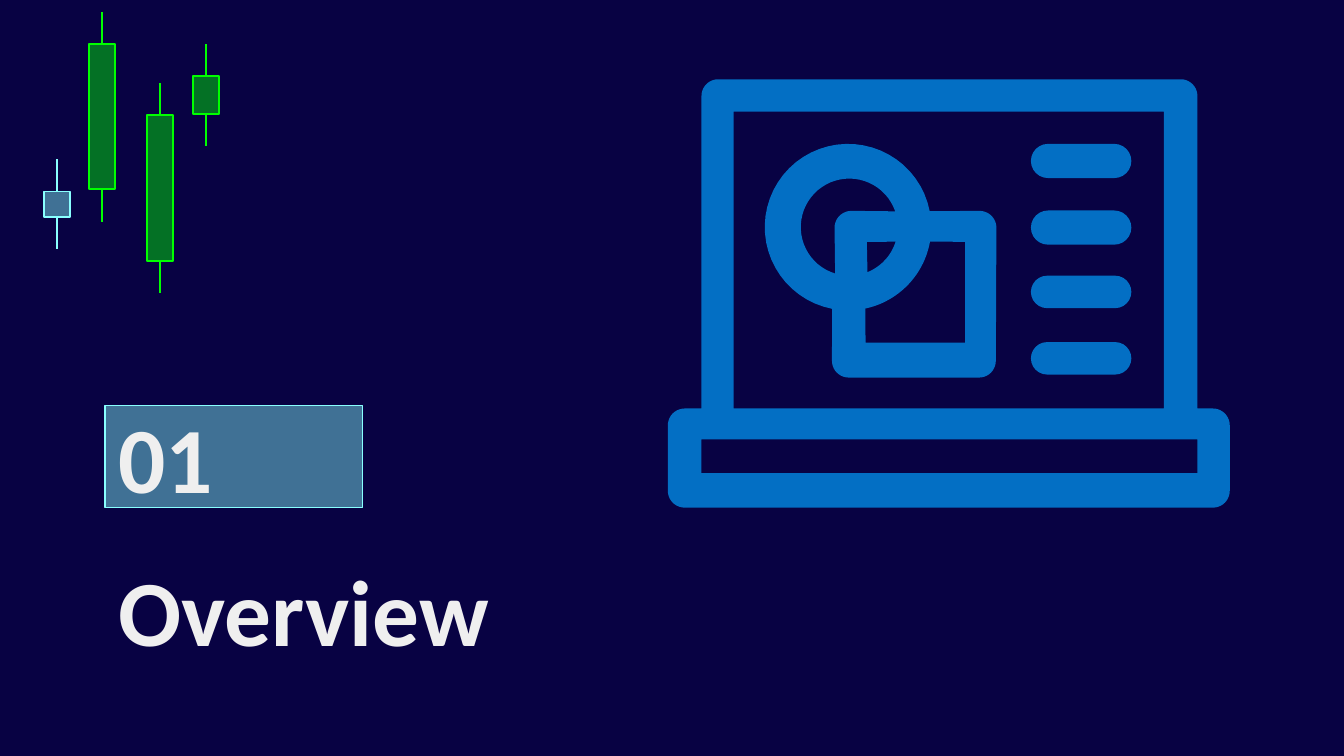
"""Build the "01 Overview" section slide with candlesticks and a laptop icon."""
from dataclasses import dataclass
from math import cos, radians, sin

from lxml import etree
from pptx import Presentation
from pptx.dml.color import RGBColor
from pptx.enum.shapes import MSO_CONNECTOR, MSO_SHAPE
from pptx.enum.text import MSO_ANCHOR, PP_ALIGN
from pptx.oxml.ns import qn
from pptx.util import Pt

RECTANGLE = MSO_SHAPE.RECTANGLE
PILL = MSO_SHAPE.ROUNDED_RECTANGLE
STRAIGHT = MSO_CONNECTOR.STRAIGHT
MIDDLE = MSO_ANCHOR.MIDDLE
LEFT = PP_ALIGN.LEFT


@dataclass(frozen=True)
class Theme:
    background: RGBColor = RGBColor.from_string("080243")
    text: RGBColor = RGBColor.from_string("EFEFEF")
    cyan: RGBColor = RGBColor.from_string("89FFFF")
    green: RGBColor = RGBColor.from_string("00FF00")
    icon: RGBColor = RGBColor.from_string("036FC4")
    font: str = "Calibri"
    heading_size: float = 50
    tint_percent: int = 44


THEME = Theme()


def set_heading(shape, wording):
    frame = shape.text_frame
    frame.text = wording
    frame.word_wrap = True
    frame.vertical_anchor = MIDDLE
    frame.margin_left = frame.margin_right = Pt(7.2)
    frame.margin_top = frame.margin_bottom = Pt(7.2)
    paragraph = frame.paragraphs[0]
    paragraph.alignment = LEFT
    font = paragraph.runs[0].font
    font.name, font.size, font.bold = THEME.font, Pt(THEME.heading_size), True
    font.color.rgb = THEME.text


def add_tinted_box(shapes, left, top, width, height, color, border):
    box = shapes.add_shape(RECTANGLE, Pt(left), Pt(top), Pt(width), Pt(height))
    box.shadow.inherit = False
    box.fill.solid()
    box.fill.fore_color.rgb = color
    tint = box.fill._xPr.find(qn("a:solidFill"))[0]
    etree.SubElement(tint, qn("a:alpha"), val=str(THEME.tint_percent * 1000))
    box.line.color.rgb = color
    box.line.width = Pt(border)
    return box


def add_wick(shapes, center, top, bottom, color):
    wick = shapes.add_connector(STRAIGHT, Pt(center), Pt(top), Pt(center), Pt(bottom))
    wick.line.color.rgb = color
    wick.line.width = Pt(1)
    etree.SubElement(wick._element.spPr, qn("a:effectLst"))


def add_candle(shapes, center, top, bottom, color):
    width, wick = 14, 17.2
    add_tinted_box(shapes, center - width / 2, top, width, bottom - top, color, 1)
    add_wick(shapes, center, top - wick, top, color)
    add_wick(shapes, center, bottom, bottom + wick, color)


def paint_icon(shape):
    shape.shadow.inherit = False
    shape.fill.solid()
    shape.fill.fore_color.rgb = THEME.icon
    shape.line.fill.background()


def arc(center, radius, start, end, steps=40):
    angles = [radians(start + (end - start) * i / steps) for i in range(steps + 1)]
    return [(center[0] + radius * cos(a), center[1] + radius * sin(a)) for a in angles]


def corner(x, y, start, radius=9):
    """Return a clockwise rounded corner at (x, y), beginning at angle start."""
    toward_x = 1 if start in (180, 90) else -1
    toward_y = 1 if start in (180, 270) else -1
    center = (x + toward_x * radius, y + toward_y * radius)
    return arc(center, radius, start, start + 90, 10)


def rectangle(left, top, right, bottom):
    return [(left, top), (right, top), (right, bottom), (left, bottom)]


def add_outline(shapes, contours):
    contours = [[(Pt(x), Pt(y)) for x, y in contour] for contour in contours]
    builder = shapes.build_freeform(*contours[0][0])
    for index, (first, *rest) in enumerate(contours):
        if index:
            builder.move_to(*first)
        builder.add_line_segments(rest, close=True)
    paint_icon(builder.convert_to_shape())


def add_ring_and_square(shapes):
    outer_center, outer_radius = (454.3, 121.7), 44.6
    inner_center, inner_radius = (455, 121.7), 26
    silhouette = [
        *arc(outer_center, outer_radius, 101, 349),
        *corner(533.8, 113, 270),
        *corner(533.5, 202.3, 0),
        *corner(445.7, 202.3, 90),
    ]
    ring_hole = [
        *arc(inner_center, inner_radius, 107, 341),
        *reversed(corner(447.1, 113, 180)),
    ]
    overlap_hole = [
        *arc(inner_center, inner_radius, 17.5, 68),
        (464.4, 129.6),
    ]
    square_hole = [
        *arc(outer_center, outer_radius, 78, 10),
        (517, 129.6), (517, 183.6), (463.7, 183.6),
    ]
    add_outline(shapes, [silhouette, ring_hole, overlap_hole, square_hole])


def add_laptop(shapes):
    lid_left, lid_right, base_top = 375.8, 641.5, 218.9
    base_left, base_right, base_bottom = 357.8, 658.8, 272
    silhouette = [
        *corner(lid_left, 42.5, 180),
        *corner(lid_right, 42.5, 270),
        (lid_right, base_top),
        *corner(base_right, base_top, 270),
        *corner(base_right, base_bottom, 0),
        *corner(base_left, base_bottom, 90),
        *corner(base_left, base_top, 180),
        (lid_left, base_top),
    ]
    screen = rectangle(393.1, 59.8, 623.5, base_top)
    keyboard = rectangle(lid_left, 235.4, lid_right, 253.6)
    add_outline(shapes, [silhouette, screen, keyboard])


def add_list_bar(shapes, top, height):
    bar = shapes.add_shape(PILL, Pt(552.3), Pt(top), Pt(53.8), Pt(height))
    bar.adjustments[0] = 0.5
    paint_icon(bar)


def main():
    deck = Presentation()
    deck.slide_width, deck.slide_height = Pt(720), Pt(405)
    slide = deck.slides.add_slide(deck.slide_layouts[6])
    slide.background.fill.solid()
    slide.background.fill.fore_color.rgb = THEME.background

    title = slide.shapes.add_textbox(Pt(56.2), Pt(290.2), Pt(607.7), Pt(72.7))
    set_heading(title, "Overview")
    number = add_tinted_box(slide.shapes, 56.2, 217.4, 138, 54.4, THEME.cyan, 0.75)
    set_heading(number, "01")

    candles = slide.shapes.add_group_shape().shapes
    for center, top, bottom, color in (
        (30.4, 102.6, 116.1, THEME.cyan),
        (54.6, 23.7, 101.5, THEME.green),
        (85.8, 61.7, 139.7, THEME.green),
        (110.2, 40.9, 61.2, THEME.green),
    ):
        add_candle(candles, center, top, bottom, color)

    icon = slide.shapes.add_group_shape().shapes
    add_ring_and_square(icon)
    for top, height in ((77.1, 18.3), (112.8, 18.3), (147.7, 17.4), (183.3, 17.4)):
        add_list_bar(icon, top, height)
    add_laptop(icon)

    deck.save("out.pptx")


if __name__ == "__main__":
    main()
